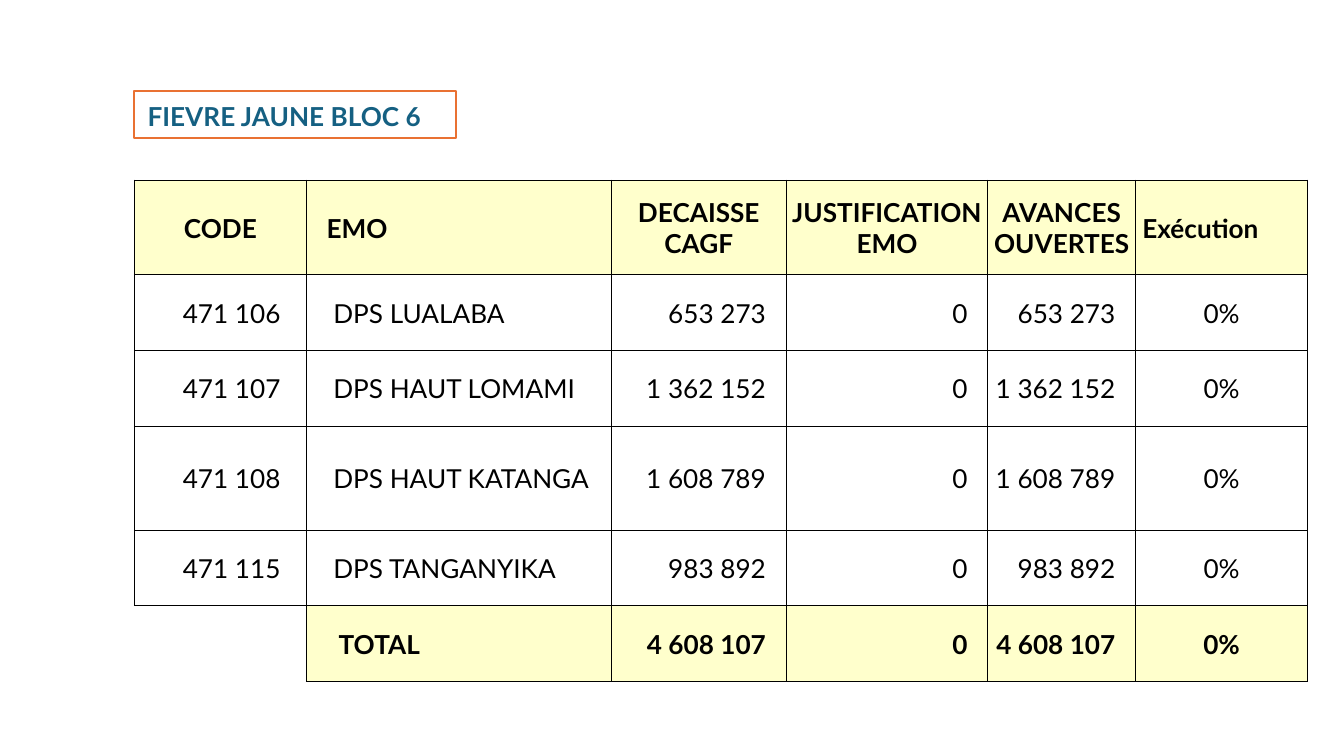
from dataclasses import dataclass

from lxml import etree
from pptx import Presentation
from pptx.dml.color import RGBColor
from pptx.enum.shapes import MSO_SHAPE
from pptx.enum.text import MSO_ANCHOR, PP_ALIGN
from pptx.oxml.ns import qn
from pptx.util import Inches, Pt

RECT = MSO_SHAPE.RECTANGLE
TOP, MIDDLE = MSO_ANCHOR.TOP, MSO_ANCHOR.MIDDLE
LEFT, MID, RIGHT = PP_ALIGN.LEFT, PP_ALIGN.CENTER, PP_ALIGN.RIGHT


@dataclass(frozen=True)
class Theme:
    font: str = "Lato"
    size: float = 14
    ink: str = "000000"
    paper: str = "FFFFFF"
    band: str = "FFFFCC"
    title: str = "156082"
    frame: str = "E97132"
    rule: float = 0.5


THEME = Theme()
# A 16:9 slide
WIDE = 10
HIGH = WIDE * 9 / 16

# Column and row weights of the grid
COLS = (1.28, 2.27, 1.3, 1.5, 1.1, 1.28)
ROWS = (0.7, 0.56, 0.56, 0.77, 0.56, 0.56)

HEAD = ("CODE", "EMO", "DECAISSE CAGF", "JUSTIFICATION EMO",
        "AVANCES OUVERTES", "Exécution")
# Code, unit, paid out (all of it still open)
UNITS = (
    ("471 106", "DPS LUALABA", "653 273"),
    ("471 107", "DPS HAUT LOMAMI", "1 362 152"),
    ("471 108", "DPS HAUT KATANGA", "1 608 789"),
    ("471 115", "DPS TANGANYIKA", "983 892"),
    ("", "TOTAL", "4 608 107"),
)

# Alignment, left and right inset for each column
THIN, PAD = 0.01, 0.15
NUMBER = (RIGHT, THIN, PAD)
CENTRE = (MID, THIN, THIN)
HEAD_FIT = (CENTRE, (LEFT, 0.15, THIN), CENTRE, CENTRE, CENTRE,
            (LEFT, 0.05, THIN))
BODY_FIT = ((LEFT, 0.36, THIN), (LEFT, 0.2, THIN), NUMBER, NUMBER, NUMBER,
            CENTRE)
SUM_FIT = (BODY_FIT[0], (LEFT, 0.24, THIN)) + BODY_FIT[2:]


def color(code):
    return RGBColor.from_string(code)


def style(para, ink, bold):
    for run in para.runs:
        font = run.font
        font.name, font.size, font.bold = THEME.font, Pt(THEME.size), bold
        font.color.rgb = color(ink)


def border(cell, sides):
    """Rule the given sides of a cell and clear the others."""
    props = cell._tc.get_or_add_tcPr()
    for side in "LRTB":
        line = etree.SubElement(props, qn("a:ln" + side),
                                w=str(Pt(THEME.rule)))
        if side in sides:
            fill = etree.SubElement(line, qn("a:solidFill"))
            etree.SubElement(fill, qn("a:srgbClr"), val=THEME.ink)
        else:
            etree.SubElement(line, qn("a:noFill"))


def fill_cell(cell, text, fit, bold):
    align, left, right = fit
    border(cell, "LRTB" if text else "RT")
    if bold and text:
        cell.fill.solid()
        cell.fill.fore_color.rgb = color(THEME.band)
    else:
        cell.fill.background()
    cell.vertical_anchor = MIDDLE
    cell.margin_left, cell.margin_right = Inches(left), Inches(right)
    cell.margin_top, cell.margin_bottom = Inches(THIN), 0
    cell.text_frame.text = text
    para = cell.text_frame.paragraphs[0]
    para.alignment = align
    style(para, THEME.ink, bold)


def add_title(slide, box, text):
    shape = slide.shapes.add_shape(RECT, *map(Inches, box))
    shape.shadow.inherit = False
    shape.fill.solid()
    shape.fill.fore_color.rgb = color(THEME.paper)
    shape.line.color.rgb = color(THEME.frame)
    shape.line.width = Pt(1)
    frame = shape.text_frame
    frame.word_wrap = True
    frame.vertical_anchor = TOP
    frame.text = text
    para = frame.paragraphs[0]
    para.alignment = LEFT
    para.line_spacing = 1.07
    para.space_after = Pt(8)
    style(para, THEME.title, True)


def add_grid(slide, box, rows):
    table = slide.shapes.add_table(len(ROWS), len(COLS),
                                   *map(Inches, box)).table
    table.first_row = table.horz_banding = False
    for col, share in zip(table.columns, COLS):
        col.width = Inches(box[2] * share / sum(COLS))
    for row, share in zip(table.rows, ROWS):
        row.height = Inches(box[3] * share / sum(ROWS))
    last = len(rows) - 1
    for r, texts in enumerate(rows):
        fits = {0: HEAD_FIT, last: SUM_FIT}.get(r, BODY_FIT)
        for c, (text, fit) in enumerate(zip(texts, fits)):
            fill_cell(table.cell(r, c), text, fit, r in (0, last))


def main():
    deck = Presentation()
    deck.slide_width, deck.slide_height = Inches(WIDE), Inches(HIGH)
    slide = deck.slides.add_slide(deck.slide_layouts[6])
    edge = WIDE / 10

    # Budget table
    rows = [HEAD] + [(code, unit, paid, "0", paid, "0%")
                     for code, unit, paid in UNITS]
    add_grid(slide, (edge, 1.34, sum(COLS), 3.73), rows)

    # Title box
    add_title(slide, (edge, 0.68, 2.39, 0.35), "FIEVRE JAUNE BLOC 6")
    deck.save("out.pptx")


if __name__ == "__main__":
    main()
